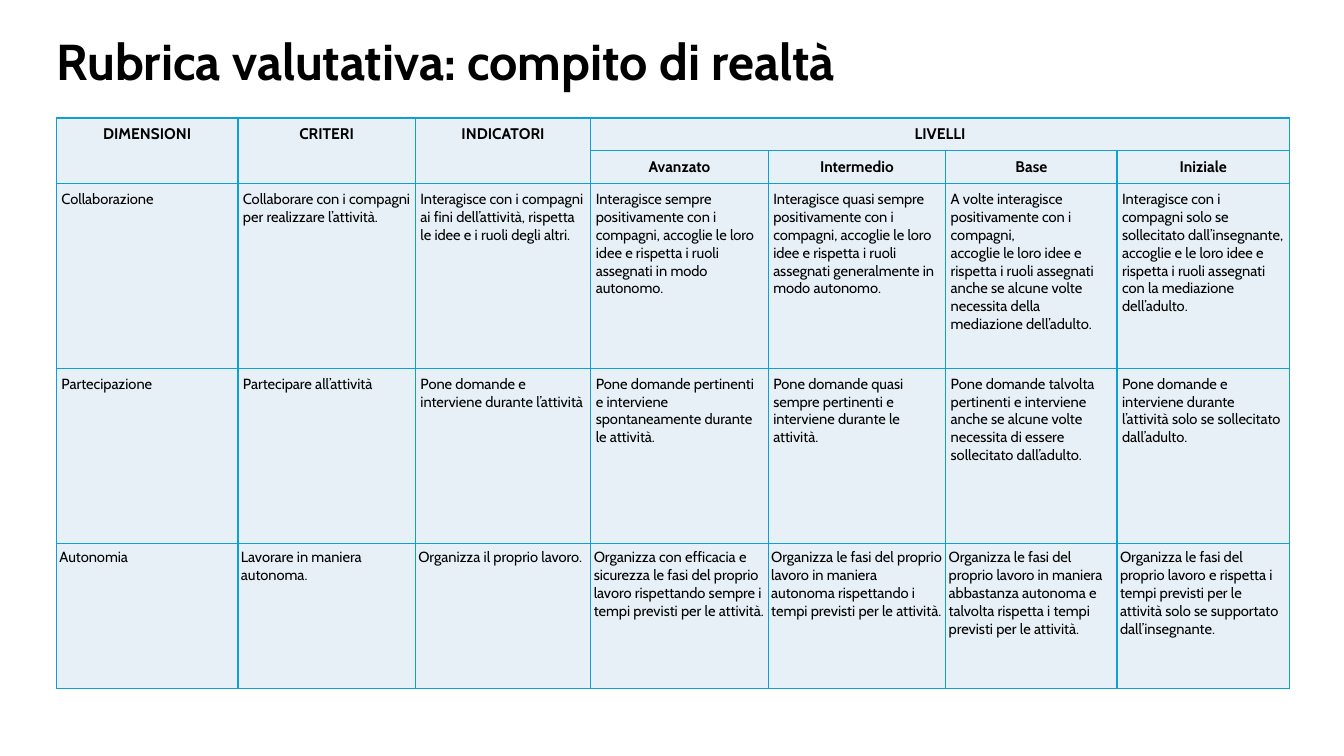
import dataclasses

import lxml.etree
import pptx
import pptx.dml.color
import pptx.enum.text
import pptx.oxml.ns
import pptx.util

ALIGN = pptx.enum.text.PP_ALIGN
ANCHOR = pptx.enum.text.MSO_ANCHOR
EMU_PER_PX = 9144


@dataclasses.dataclass(frozen=True)
class Theme:
    font: str = "Cabin"
    ink: str = "000000"
    cell_fill: str = "E7F0F7"
    border: str = "0F9ED5"
    title_size: float = 36
    header_size: float = 11
    body_size: float = 10.5
    border_width: float = 1


COLUMNS = [180, 176, 174, 176, 176, 170, 171]
ROWS = [32, 32, 183, 174, 144]
HEADERS = ["DIMENSIONI", "CRITERI", "INDICATORI", "LIVELLI"]
LEVELS = ["Avanzato", "Intermedio", "Base", "Iniziale"]
CRITERIA = [
    [
        "Collaborazione",
        "Collaborare con i compagni per realizzare l’attività.",
        "Interagisce con i compagni ai fini dell’attività, rispetta le idee e i ruoli degli altri.",
        "Interagisce sempre positivamente con i compagni, accoglie le loro idee e rispetta "
        "i ruoli assegnati in modo autonomo.",
        "Interagisce quasi sempre positivamente con i compagni, accoglie le loro idee e rispetta "
        "i ruoli assegnati generalmente in modo autonomo.",
        "A volte interagisce positivamente con i compagni,\n"
        "accoglie le loro idee e rispetta i ruoli assegnati anche se alcune volte necessita "
        "della mediazione dell’adulto.",
        "Interagisce con i compagni solo se sollecitato dall’insegnante, accoglie e le loro idee "
        "e rispetta i ruoli assegnati con la mediazione dell’adulto.",
    ],
    [
        "Partecipazione",
        "Partecipare all’attività",
        "Pone domande e interviene durante l’attività",
        "Pone domande pertinenti e interviene spontaneamente durante le attività.",
        "Pone domande quasi sempre pertinenti e interviene durante le attività.",
        "Pone domande talvolta pertinenti e interviene anche se alcune volte necessita "
        "di essere sollecitato dall’adulto.",
        "Pone domande e interviene durante l’attività solo se sollecitato dall’adulto.",
    ],
    [
        "Autonomia",
        "Lavorare in maniera autonoma.",
        "Organizza il proprio lavoro.",
        "Organizza con efficacia e sicurezza le fasi del proprio lavoro rispettando sempre "
        "i tempi previsti per le attività.",
        "Organizza le fasi del proprio lavoro in maniera autonoma rispettando i tempi previsti "
        "per le attività.",
        "Organizza le fasi del proprio lavoro in maniera abbastanza autonoma e talvolta rispetta "
        "i tempi previsti per le attività.",
        "Organizza le fasi del proprio lavoro e rispetta i tempi previsti per le attività "
        "solo se supportato dall’insegnante.",
    ],
]


def px(n):
    return pptx.util.Emu(n * EMU_PER_PX)


def apply(obj, values):
    for name, value in values.items():
        setattr(obj, name, value)


def margins(x, y):
    return {
        "margin_left": px(x), "margin_right": px(x),
        "margin_top": px(y), "margin_bottom": px(y),
    }


class SlideBuilder:
    def __init__(self, prs, theme):
        self.theme = theme
        self.s = prs.slides.add_slide(prs.slide_layouts[5])

    def set_text(self, tf, text, size, bold, align, line_spacing=None):
        tf.text = text
        for p in tf.paragraphs:
            apply(p, {"alignment": align, "line_spacing": line_spacing})
            for r in p.runs:
                apply(r.font, {"name": self.theme.font, "size": pptx.util.Pt(size), "bold": bold})
                r.font.color.rgb = pptx.dml.color.RGBColor.from_string(self.theme.ink)

    def title(self, text, left, top, width, height):
        sp = self.s.shapes.title
        apply(sp, {"left": px(left), "top": px(top), "width": px(width), "height": px(height)})
        tf = sp.text_frame
        apply(tf, {
            "word_wrap": True,
            "auto_size": pptx.enum.text.MSO_AUTO_SIZE.NONE,
            "vertical_anchor": ANCHOR.BOTTOM,
            **margins(0, 0),
        })
        self.set_text(tf, text, self.theme.title_size, True, ALIGN.LEFT, 0.8)

    def table(self, left, top, columns, rows):
        frame = self.s.shapes.add_table(
            len(rows), len(columns), px(left), px(top), px(sum(columns)), px(sum(rows))
        )
        tbl = frame.table
        apply(tbl, {"first_row": False, "horz_banding": False})
        for column, width in zip(tbl.columns, columns):
            column.width = px(width)
        for row, height in zip(tbl.rows, rows):
            row.height = px(height)
        for cell in tbl.iter_cells():
            self.cell_style(cell)
        return tbl

    def cell_style(self, cell):
        qn = pptx.oxml.ns.qn
        tc_pr = cell._tc.get_or_add_tcPr()
        width = str(pptx.util.Pt(self.theme.border_width))
        for side in ("lnL", "lnR", "lnT", "lnB"):
            ln = lxml.etree.SubElement(tc_pr, qn(f"a:{side}"), w=width)
            fill = lxml.etree.SubElement(ln, qn("a:solidFill"))
            lxml.etree.SubElement(fill, qn("a:srgbClr"), val=self.theme.border)
        cell.fill.solid()
        cell.fill.fore_color.rgb = pptx.dml.color.RGBColor.from_string(self.theme.cell_fill)

    def header(self, cell, text, anchor):
        apply(cell, {"vertical_anchor": anchor, **margins(5, 7)})
        self.set_text(cell.text_frame, text, self.theme.header_size, True, ALIGN.CENTER)

    def body(self, cell, text, inset):
        apply(cell, {"vertical_anchor": ANCHOR.TOP, **margins(*inset)})
        self.set_text(cell.text_frame, text, self.theme.body_size, False, ALIGN.LEFT)


def main():
    prs = pptx.Presentation()
    apply(prs, {"slide_width": px(1333), "slide_height": px(750)})
    builder = SlideBuilder(prs, Theme())
    builder.title("Rubrica valutativa: compito di realtà", 56, 30, 930, 59)

    tbl = builder.table(56, 117, COLUMNS, ROWS)
    first_level = len(COLUMNS) - len(LEVELS)
    for c in range(first_level):
        tbl.cell(0, c).merge(tbl.cell(1, c))
    tbl.cell(0, first_level).merge(tbl.cell(0, len(COLUMNS) - 1))
    for c, text in enumerate(HEADERS):
        builder.header(tbl.cell(0, c), text, ANCHOR.TOP)
    for c, text in enumerate(LEVELS, first_level):
        builder.header(tbl.cell(1, c), text, ANCHOR.MIDDLE)
    insets = [(5, 7), (5, 7), (3, 5)]
    for r, (texts, inset) in enumerate(zip(CRITERIA, insets), 2):
        for c, text in enumerate(texts):
            builder.body(tbl.cell(r, c), text, inset)

    prs.save("out.pptx")


if __name__ == "__main__":
    main()
